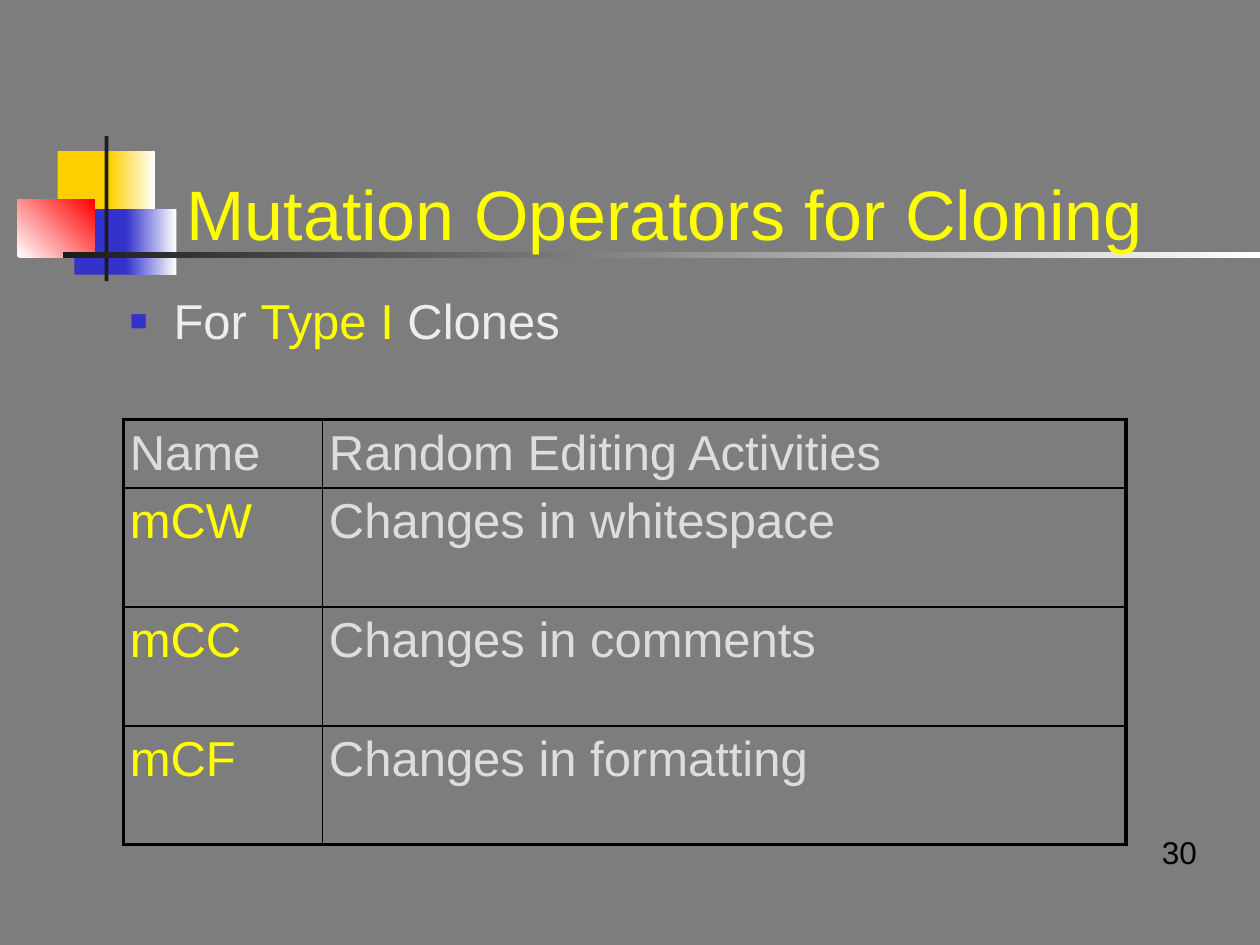
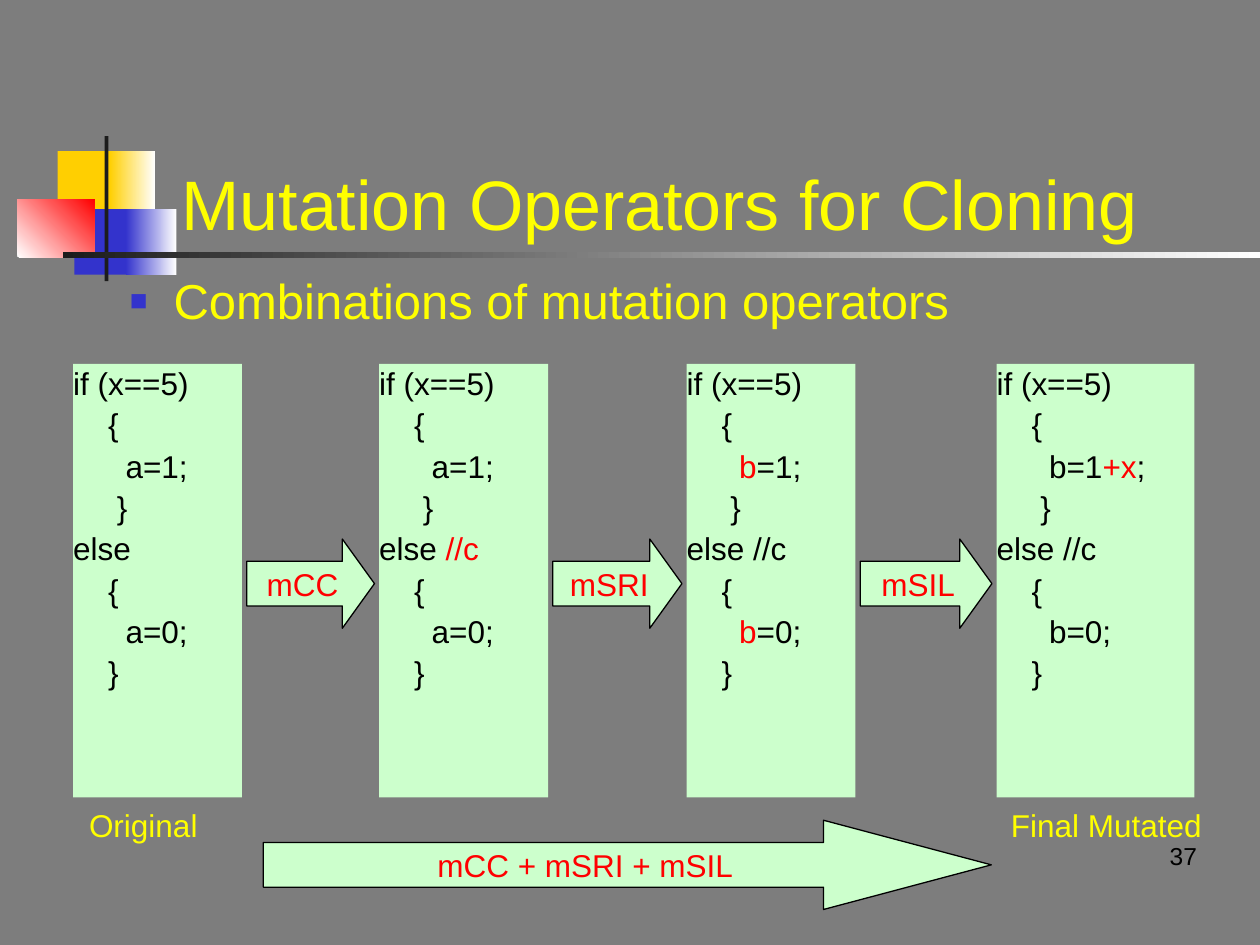
"""Build two slides on mutation operators for cloning."""
import pptx
import pptx.util
import pptx.dml.color
import pptx.enum.shapes
import pptx.enum.text
import pptx.oxml
import pptx.oxml.ns

Pt = pptx.util.Pt
RGBColor = pptx.dml.color.RGBColor
SHAPE = pptx.enum.shapes.MSO_SHAPE
ALIGN = pptx.enum.text.PP_ALIGN
ANCHOR = pptx.enum.text.MSO_ANCHOR

GRAY = RGBColor(0x7D, 0x7D, 0x7D)
GOLD = RGBColor(0xFF, 0xCF, 0x01)
BLUE = RGBColor(0x33, 0x33, 0xCC)
RED = RGBColor(0xFF, 0, 0)
DARK = RGBColor(0x1C, 0x1C, 0x1C)
WHITE = RGBColor(0xFF, 0xFF, 0xFF)
BLACK = RGBColor(0, 0, 0)
YELLOW = RGBColor(0xFF, 0xFF, 0)
PALE = RGBColor(0xED, 0xED, 0xED)
SILVER = RGBColor(0xDD, 0xDD, 0xDD)
MINT = RGBColor(0xCC, 0xFF, 0xCC)

FONT = "Arial"
TITLE = "Mutation Operators for Cloning"
DECOR = [
    ((33, 86.4, 34.6, 37.4), [GOLD], 0),
    ((62.6, 86.4, 26, 37.4), [GOLD, WHITE], 0),
    ((42.5, 119.5, 33, 37.4), [BLUE], 0),
    ((72, 119.5, 28.8, 37.4), [BLUE, WHITE], 0),
    ((10, 113.8, 44, 33.1), [WHITE, RED], 45),
    ((59.8, 77.8, 2.2, 82.8), [DARK], 0),
    ((36, 144, 684, 3.6), [DARK, WHITE], 0),
]

ROWS = [
    ("Name", "Random Editing Activities"),
    ("mCW", "Changes in whitespace"),
    ("mCC", "Changes in comments"),
    ("mCF", "Changes in formatting"),
]
COLS = [113.8, 459]
HEAD, BODY = 39, 68

# Text between bars takes the accent colour.
INDENT = [0, 20, 30, 25, 0, 20, 30, 20]
PANELS = [
    (41.8, 96.5, ["a=1;", "else", "a=0;"]),
    (216.7, 96.5, ["a=1;", "else |//c", "a=0;"]),
    (392.4, 96.5, ["|b|=1;", "else //c", "|b|=0;"]),
    (569.5, 113, ["b=1|+x|;", "else //c", "b=0;"]),
]
STEPS = ["mCC", "mSRI", "mSIL"]
NOTES = [("Original", 50.9, 80), ("Final Mutated", 577.7, 120)]


def write(frame, lines, size=18, color=BLACK, accent=RED, align=ALIGN.LEFT,
          anchor=ANCHOR.TOP, pad=0, before=2, indent=(0,), wrap=True):
    """Fill a text frame, with bars switching between the two colours."""
    frame.word_wrap = wrap
    frame.auto_size = pptx.enum.text.MSO_AUTO_SIZE.NONE
    frame.vertical_anchor = anchor
    frame.margin_left = frame.margin_right = Pt(pad)
    frame.margin_top = frame.margin_bottom = Pt(pad)
    for i, line in enumerate(lines):
        par = frame.add_paragraph() if i else frame.paragraphs[0]
        par.alignment = align
        par.space_before = Pt(before)
        left = indent[i % len(indent)]
        if left:
            par._p.get_or_add_pPr().set("marL", str(Pt(left)))
        for j, part in enumerate(line.split("|")):
            if part:
                run = par.add_run()
                run.text = part
                run.font.name = FONT
                run.font.size = Pt(size)
                run.font.color.rgb = accent if j % 2 else color


def draw(slide, kind, place, colors, angle=0, line=None):
    """Add a flat or graded shape."""
    shape = slide.shapes.add_shape(kind, *map(Pt, place))
    shape.shadow.inherit = False
    if len(colors) == 1:
        shape.fill.solid()
        shape.fill.fore_color.rgb = colors[0]
    else:
        shape.fill.gradient()
        shape.fill.gradient_angle = angle
        for stop, color in zip(shape.fill.gradient_stops, colors):
            stop.color.rgb = color
    if line is None:
        shape.line.fill.background()
    else:
        shape.line.color.rgb = line
        shape.line.width = Pt(0.75)
    return shape


def label(slide, text, place, **style):
    """Add a one-line text box."""
    box = slide.shapes.add_textbox(*map(Pt, place))
    write(box.text_frame, [text], **style)
    return box


def start(deck, left, top, page, size):
    """Add a slide with its marks, title and page number."""
    slide = deck.slides.add_slide(deck.slide_layouts[5])
    for place, colors, angle in DECOR:
        draw(slide, SHAPE.RECTANGLE, place, colors, angle)
    title = slide.shapes.title
    title.left, title.top, title.width, title.height = map(
        Pt, (left, top, 613.4, 90))
    write(title.text_frame, [TITLE], size=40, color=YELLOW,
          anchor=ANCHOR.BOTTOM, before=0)
    slide.shapes.element.append(title.element)
    label(slide, page, (534.2, 470, 149.8, 27.5), size=size,
          align=ALIGN.RIGHT, anchor=ANCHOR.BOTTOM, before=0)
    return slide


def bullet(slide, text, top, width, **style):
    """Add a line with a square bullet."""
    box = label(slide, text, (70.6, top, width, 41), size=28, pad=3.6,
                before=3, indent=[25], wrap=False, **style)
    props = box.text_frame.paragraphs[0]._p.get_or_add_pPr()
    props.set("indent", str(-Pt(25)))
    space = pptx.oxml.ns.nsdecls("a")
    for xml in (f'<a:buClr {space}><a:srgbClr val="{BLUE}"/></a:buClr>',
                f'<a:buSzPct {space} val="60000"/>',
                f'<a:buFont {space} typeface="{FONT}"/>',
                f'<a:buChar {space} char="■"/>'):
        props.append(pptx.oxml.parse_xml(xml))


def edge(cell, widths):
    """Set left, right, top and bottom borders of a cell."""
    props = cell._tc.get_or_add_tcPr()
    space = pptx.oxml.ns.nsdecls("a")
    for side, width in zip("LRTB", widths):
        props.append(pptx.oxml.parse_xml(
            f'<a:ln{side} {space} w="{Pt(width)}"><a:solidFill>'
            f'<a:srgbClr val="{BLACK}"/></a:solidFill></a:ln{side}>'))


def grid(slide):
    """Add the table of operators."""
    high = [HEAD] + [BODY] * (len(ROWS) - 1)
    frame = slide.shapes.add_table(len(ROWS), len(COLS), Pt(70.6), Pt(239.8),
                                   Pt(sum(COLS)), Pt(sum(high)))
    table = frame.table
    table.first_row = table.horz_banding = False
    for col, width in zip(table.columns, COLS):
        col.width = Pt(width)
    for r, row in enumerate(ROWS):
        table.rows[r].height = Pt(high[r])
        for c, text in enumerate(row):
            cell = table.cell(r, c)
            outer = (c == 0, c == len(COLS) - 1, r == 0, r == len(ROWS) - 1)
            edge(cell, [2.25 if out else 1 for out in outer])
            cell.fill.background()
            cell.margin_left = cell.margin_right = Pt(3.6)
            cell.margin_top = cell.margin_bottom = Pt(3.6)
            write(cell.text_frame, [text], size=28, before=0,
                  color=YELLOW if r and not c else SILVER)


def arrow(slide, text, place, head):
    """Add a block arrow with its text."""
    shape = draw(slide, SHAPE.RIGHT_ARROW, place, [MINT], line=BLACK)
    shape.adjustments[1] = head
    write(shape.text_frame, [text], color=RED, align=ALIGN.CENTER,
          anchor=ANCHOR.MIDDLE, before=0, wrap=False)


def flow(slide):
    """Add the code panels and the steps between them."""
    for left, width, (first, other, last) in PANELS:
        panel = draw(slide, SHAPE.RECTANGLE, (left, 208, width, 247.7), [MINT])
        code = ["if (x==5)", "{", first, "}", other, "{", last, "}"]
        write(panel.text_frame, code, indent=INDENT)
    for text, here, after in zip(STEPS, PANELS, PANELS[1:]):
        left = here[0] + here[1] + 2.7
        arrow(slide, text, (left, 308, after[0] - left - 2.7, 51), 0.36)
    for text, left, width in NOTES:
        label(slide, text, (left, 460.8, width, 22), color=YELLOW)
    arrow(slide, " + ".join(STEPS), (150.5, 468.7, 416, 51), 1.88)


def main():
    """Build and save the deck."""
    deck = pptx.Presentation()
    deck.slide_width, deck.slide_height = Pt(720), Pt(540)
    back = deck.slide_master.background.fill
    back.solid()
    back.fore_color.rgb = GRAY
    slide = start(deck, 106.6, 55.4, "30", 18)
    grid(slide)
    bullet(slide, "For |Type I |Clones", 162.7, 257, color=PALE, accent=YELLOW)
    slide = start(deck, 103.7, 49.7, "37", 14)
    bullet(slide, "Combinations of mutation operators", 151.2, 481,
           color=YELLOW)
    flow(slide)
    deck.save("out.pptx")


if __name__ == "__main__":
    main()
